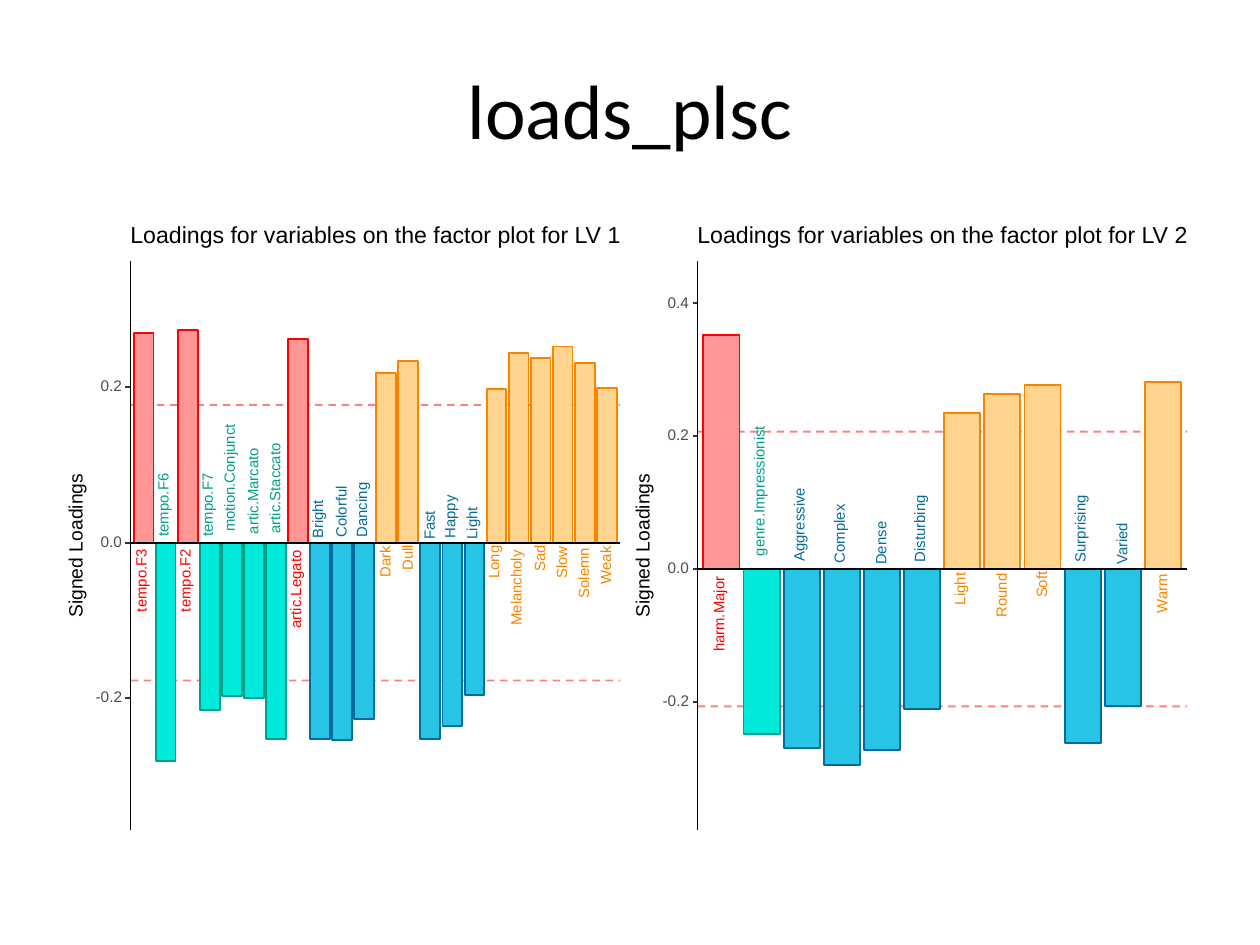
from collections import namedtuple
from pptx import Presentation
from pptx.dml.color import RGBColor
from pptx.enum.dml import MSO_LINE
from pptx.enum.shapes import MSO_CONNECTOR, MSO_SHAPE
from pptx.enum.text import MSO_ANCHOR, MSO_AUTO_SIZE, PP_ALIGN
from pptx.oxml.ns import qn
from pptx.util import Cm, Pt
from lxml import etree

RECTANGLE = MSO_SHAPE.RECTANGLE
STRAIGHT = MSO_CONNECTOR.STRAIGHT
DASH = MSO_LINE.DASH
MIDDLE = MSO_ANCHOR.MIDDLE
NO_FIT = MSO_AUTO_SIZE.NONE
CENTER = PP_ALIGN.CENTER

Box = namedtuple("Box", "left top width height")

# Theme: (fill, line) of each bar kind, other colours, and (font, size) of text
THEME = {
    "bars": {
        ("design", True): ("FF9595", "FF0000"),
        ("design", False): ("00E9DA", "00A08A"),
        ("adjective", True): ("FFD48E", "F98400"),
        ("adjective", False): ("27C4E5", "046C9A"),
    },
    "white": "FFFFFF", "ink": "000000", "tick": "333333",
    "tick label": "4D4D4D", "threshold": "FF0000",
    "line width": 1.07,
    "type": {
        "title": ("Calibri", 44), "heading": ("Arial", 13.2), "axis": ("Arial", 11),
        "tick": ("Arial", 8.8), "bar": ("Arial", 8.5),
    },
}

# Loadings in thousandths: name, loading, label length in cm
LV1 = [
    ("tempo.F3", 269, 1.27), ("tempo.F6", -280, 1.27), ("tempo.F2", 273, 1.27),
    ("tempo.F7", -215, 1.27), ("motion.Conjunct", -197, 2.18),
    ("artic.Marcato", -200, 1.75), ("artic.Staccato", -252, 1.83),
    ("artic.Legato", 262, 1.57), ("Bright", -252, 0.79), ("Colorful", -254, 1.04),
    ("Dancing", -227, 1.09), ("Dark", 218, 0.64), ("Dull", 234, 0.51),
    ("Fast", -252, 0.58), ("Happy", -236, 0.86), ("Light", -196, 0.66),
    ("Long", 197, 0.66), ("Melancholy", 244, 1.52), ("Sad", 237, 0.53),
    ("Slow", 252, 0.66), ("Solemn", 231, 1.02), ("Weak", 199, 0.76),
]
LV2 = [
    ("harm.Major", 353, 1.52), ("genre.Impressionist", -249, 2.62),
    ("Aggressive", -270, 1.5), ("Complex", -296, 1.19), ("Dense", -273, 0.86),
    ("Disturbing", -211, 1.35), ("Light", 235, 0.66), ("Round", 264, 0.89),
    ("Soft", 277, 0.53), ("Surprising", -262, 1.35), ("Varied", -207, 0.86),
    ("Warm", 281, 0.81),
]
# Zero is the distance from panel top to the zero line, scale is cm per unit
PANELS = [
    {"heading": "Loadings for variables on the factor plot for LV 1", "bars": LV1,
     "zero": 6.49, "scale": 15.69, "threshold": 177, "ticks": (-200, 0, 200)},
    {"heading": "Loadings for variables on the factor plot for LV 2", "bars": LV2,
     "zero": 7.02, "scale": 13.38, "threshold": 207, "ticks": (-200, 0, 200, 400)},
]


def color(code):
    return RGBColor.from_string(code)


def add_box(shapes, box, fill, line):
    shape = shapes.add_shape(RECTANGLE, *map(Cm, box))
    shape.shadow.inherit = False
    shape.fill.solid()
    shape.fill.fore_color.rgb = color(fill)
    shape.line.color.rgb = color(line)
    shape.line.width = Pt(THEME["line width"])


def add_line(shapes, start, end, line, dash=None, alpha=None):
    rule = shapes.add_connector(STRAIGHT, *map(Cm, start + end))
    rule.line.color.rgb = color(line)
    rule.line.width = Pt(THEME["line width"])
    properties = rule.line._get_or_add_ln()
    if dash:
        rule.line.dash_style = dash
    if alpha:
        tone = properties.find(".//" + qn("a:srgbClr"))
        etree.SubElement(tone, qn("a:alpha"), val=str(alpha * 1000))
    etree.SubElement(rule._element.spPr, qn("a:effectLst"))


def add_text(shapes, words, middle, size, style, ink, turn=0, align=None):
    """Place one line of text around its middle point."""
    (x, y), (width, height) = middle, size
    label = shapes.add_textbox(Cm(x - width / 2), Cm(y - height / 2), Cm(width), Cm(height))
    label.rotation = turn
    font_name, points = THEME["type"][style]
    frame = label.text_frame
    para = frame.paragraphs[0]
    span = para.add_run()
    formats = [
        (frame, {"margin_left": 0, "margin_right": 0, "margin_top": 0, "margin_bottom": 0,
                 "word_wrap": False, "auto_size": NO_FIT, "vertical_anchor": MIDDLE}),
        (para, {"alignment": align, "line_spacing": Pt(points)}),
        (span, {"text": words}),
        (span.font, {"name": font_name, "size": Pt(points)}),
    ]
    for target, values in formats:
        for name, value in values.items():
            setattr(target, name, value)
    span.font.color.rgb = color(ink)


def add_bars(shapes, plot, zero, panel):
    """Draw the bars, then their names on the other side of the zero line."""
    step = plot.width / (len(panel["bars"]) + 0.2)
    labels = []
    for index, (name, loading, length) in enumerate(panel["bars"]):
        center = plot.left + step * (index + 0.6)
        height = abs(loading) / 1000 * panel["scale"]
        top = zero - height if loading > 0 else zero
        group = "design" if "." in name else "adjective"
        fill, line = THEME["bars"][group, loading > 0]
        add_box(shapes, Box(center - 0.45 * step, top, 0.9 * step, height), fill, line)
        # Letters with a tail need a slightly taller box
        tail = bool(set(name) & set("gjpqy"))
        offset = 0.6 * length if loading > 0 else -0.6 * length
        middle = (center - 0.03 * tail, zero + offset)
        labels.append((name, middle, (length, 0.28 if tail else 0.23), "bar", line, 270))
    for label in labels:
        add_text(shapes, *label)


def add_axes(shapes, plot, zero, panel):
    right, bottom = plot.left + plot.width, plot.top + plot.height
    add_line(shapes, (plot.left, zero), (right, zero), THEME["ink"])
    add_line(shapes, (plot.left, bottom), (plot.left, plot.top), THEME["ink"])
    for tick in panel["ticks"]:
        y = zero - tick / 1000 * panel["scale"]
        width = 0.53 if tick < 0 else 0.43
        add_text(shapes, f"{tick / 1000:.1f}", (plot.left - 0.17 - width / 2, y),
                 (width, 0.23), "tick", THEME["tick label"])
        add_line(shapes, (plot.left - 0.1, y), (plot.left, y), THEME["tick"])


def add_panel(page, box, panel):
    shapes = page.shapes.add_group_shape().shapes
    add_box(shapes, box, THEME["white"], THEME["white"])
    plot = Box(box.left + 1.36, box.top + 0.82, 9.87, 11.46)
    zero = box.top + panel["zero"]
    # Significance thresholds on both sides of zero
    for sign in (1, -1):
        y = zero - sign * panel["threshold"] / 1000 * panel["scale"]
        add_line(shapes, (plot.left, y), (plot.left + plot.width, y),
                 THEME["threshold"], DASH, 50)
    add_bars(shapes, plot, zero, panel)
    add_axes(shapes, plot, zero, panel)
    # Axis title and heading
    add_text(shapes, "Signed Loadings", (box.left + 0.28, plot.top + plot.height / 2),
             (2.9, 0.36), "axis", THEME["ink"], 270)
    add_text(shapes, panel["heading"], (plot.left + 4.95, box.top + 0.32),
             (9.9, 0.43), "heading", THEME["ink"])


def add_title(page, box, words):
    middle = (box.left + box.width / 2, box.top + box.height / 2)
    add_text(page.shapes, words, middle, (box.width, box.height), "title",
             THEME["ink"], align=CENTER)


deck = Presentation()
deck.slide_width, deck.slide_height = Cm(25.4), Cm(19.05)
page = deck.slides.add_slide(deck.slide_layouts[6])
add_title(page, Box(1.27, 0.76, 22.86, 3.18), "loads_plsc")
for index, panel in enumerate(PANELS):
    add_panel(page, Box(1.27 + 11.43 * index, 4.45, 11.43, 12.57), panel)
deck.save("out.pptx")
